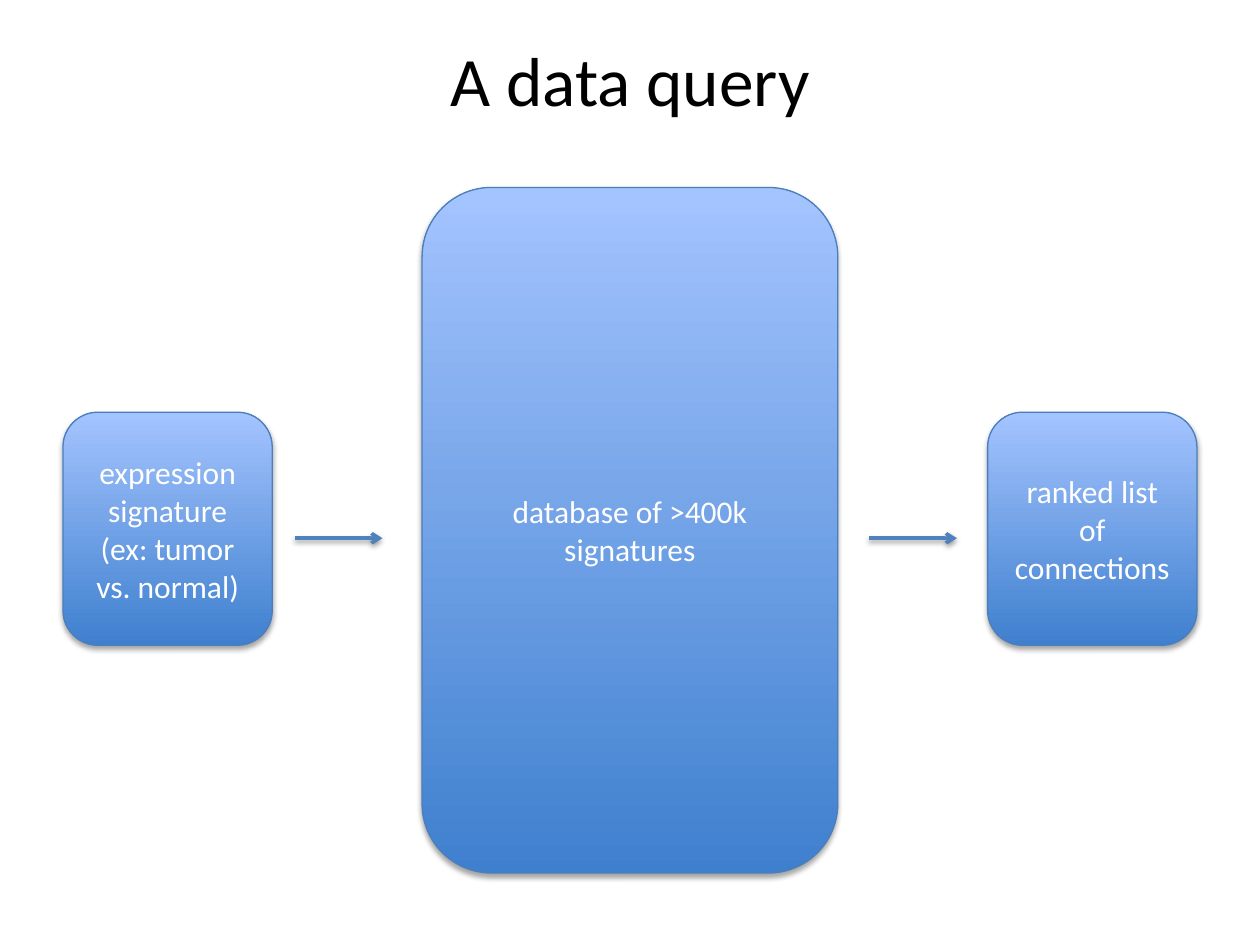
from lxml import etree
from pptx import Presentation
from pptx import util as u
from pptx.dml.color import RGBColor
from pptx.enum import shapes, text
from pptx.oxml.ns import qn

COLORS = {
    "black": "000000",
    "white": "FFFFFF",
    "gradient_bottom": "3F80CE",
    "gradient_top": "A4C4FF",
    "outline": "4B7EBC",
    "arrow": "4F81BD",
}


def write_text(shape, content, size=18, color="white", font="Calibri"):
    frame = shape.text_frame
    frame.word_wrap = True
    frame.vertical_anchor = text.MSO_ANCHOR.MIDDLE
    frame.text = content
    for paragraph in frame.paragraphs:
        paragraph.alignment = text.PP_ALIGN.CENTER
        paragraph.font.size = u.Pt(size)
        paragraph.font.name = font
        paragraph.font.color.rgb = RGBColor.from_string(COLORS[color])


def add_shadow(shape, distance, opacity):
    properties = shape._element.spPr
    effects = etree.SubElement(properties, qn("a:effectLst"))
    shadow = etree.SubElement(
        effects, qn("a:outerShdw"), blurRad=str(u.Pt(3.1)),
        dist=str(u.Pt(distance)), dir="5400000", rotWithShape="0")
    color = etree.SubElement(shadow, qn("a:srgbClr"), val=COLORS["black"])
    etree.SubElement(color, qn("a:alpha"), val=str(opacity * 1000))


presentation = Presentation()
presentation.slide_width = u.Cm(25.4)
presentation.slide_height = u.Cm(19.05)
slide = presentation.slides.add_slide(presentation.slide_layouts[5])

title = slide.shapes.title
title.left, title.top = u.Cm(1.27), u.Cm(0.76)
title.width, title.height = u.Cm(22.86), u.Cm(1.65)
write_text(title, "A data query", size=39.6, color="black")

boxes = [
    ("expression signature\n(ex: tumor vs. normal)", 1.27, 8.31, 4.22, 4.7),
    ("database of >400k signatures", 8.51, 3.78, 8.38, 13.82),
    ("ranked list of connections", 19.91, 8.31, 4.22, 4.7),
]
for content, left, top, width, height in boxes:
    box = slide.shapes.add_shape(
        shapes.MSO_SHAPE.ROUNDED_RECTANGLE,
        u.Cm(left), u.Cm(top), u.Cm(width), u.Cm(height))
    box.fill.gradient()
    box.fill.gradient_angle = 90
    for stop, name in zip(box.fill.gradient_stops, ("gradient_bottom", "gradient_top")):
        stop.color.rgb = RGBColor.from_string(COLORS[name])
    box.line.color.rgb = RGBColor.from_string(COLORS["outline"])
    box.line.width = u.Pt(0.75)
    add_shadow(box, distance=1.8, opacity=35)
    write_text(box, content)

arrow_y = u.Cm(10.85)
for start in (5.94, 17.52):
    arrow = slide.shapes.add_connector(
        shapes.MSO_CONNECTOR.STRAIGHT,
        u.Cm(start), arrow_y, u.Cm(start + 1.77), arrow_y)
    arrow.line.color.rgb = RGBColor.from_string(COLORS["arrow"])
    arrow.line.width = u.Pt(2)
    etree.SubElement(arrow.line._get_or_add_ln(), qn("a:tailEnd"), type="arrow")
    add_shadow(arrow, distance=1.6, opacity=38)

presentation.save("out.pptx")
